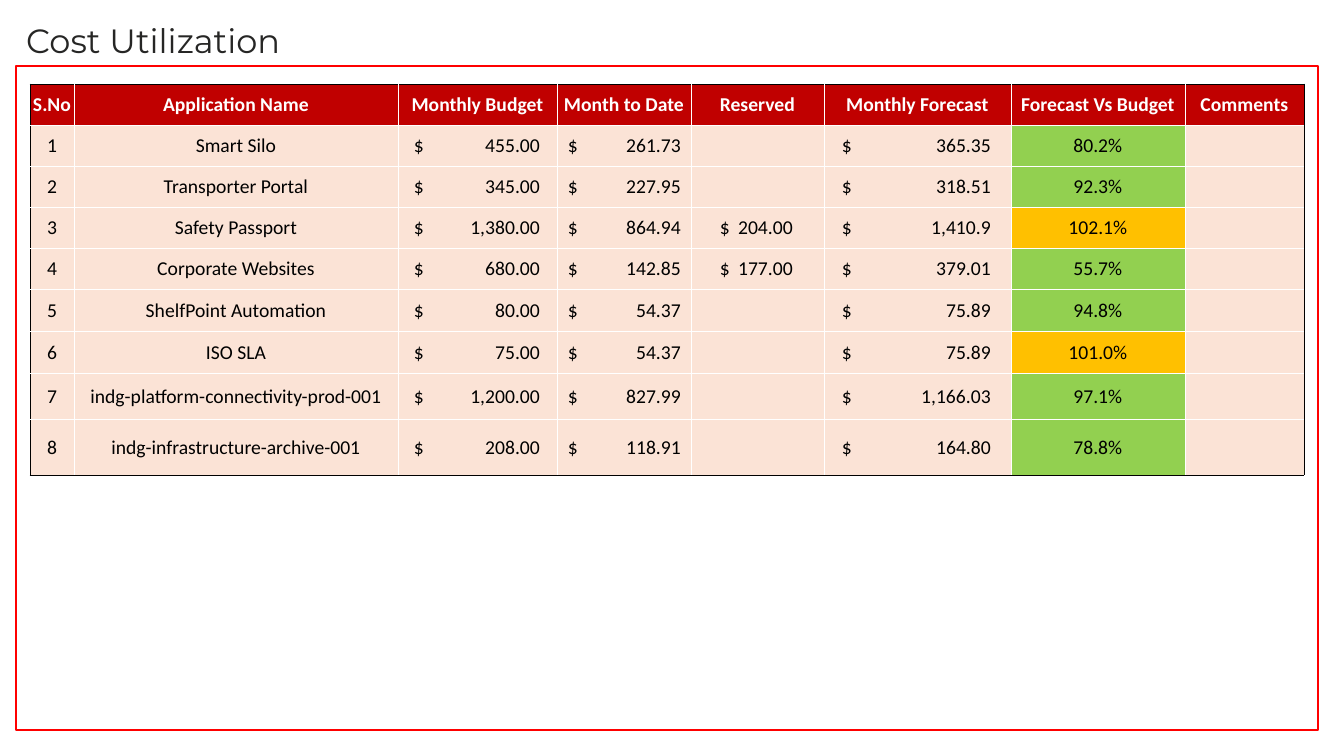
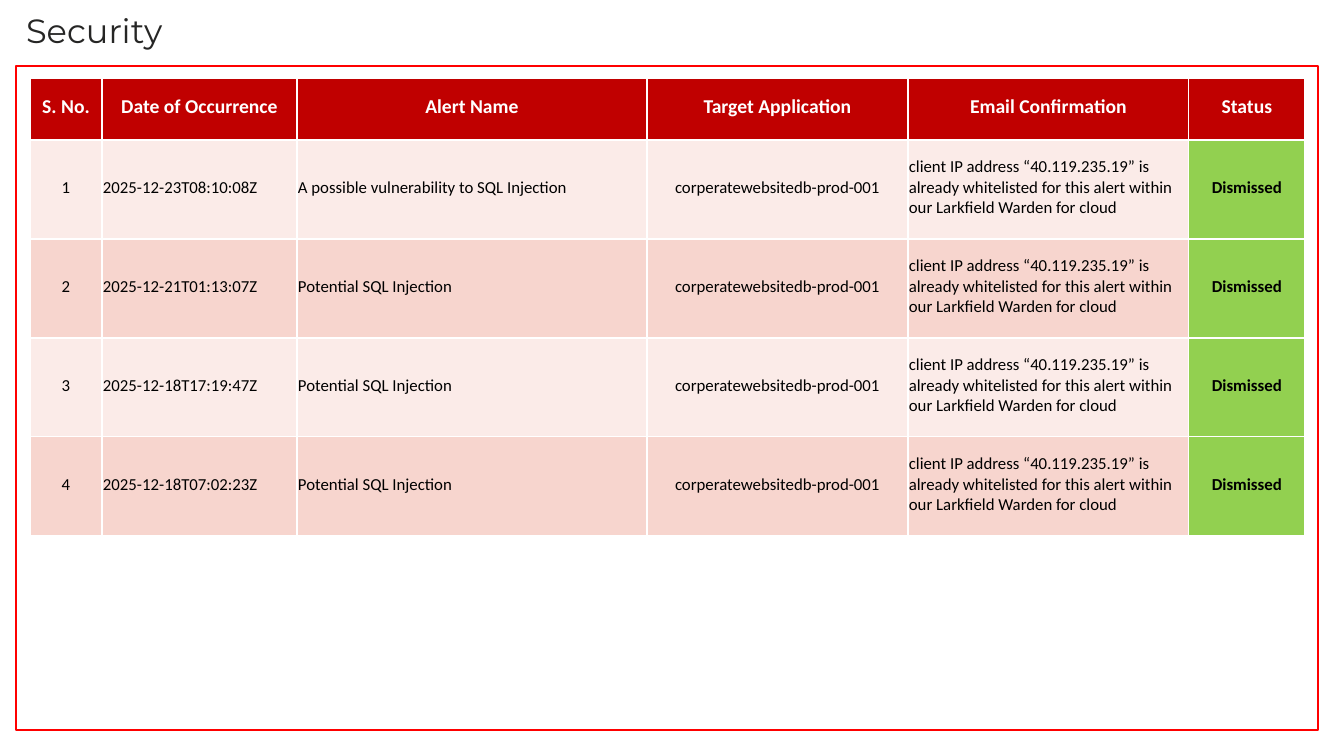
from pptx import Presentation as Deck
from pptx.dml.color import RGBColor as Rgb
from pptx.enum.shapes import MSO_SHAPE as Kind
from pptx.enum.text import MSO_ANCHOR as Anchor, MSO_AUTO_SIZE as Fit, PP_ALIGN as Align
from pptx.oxml import parse_xml
from pptx.oxml.ns import nsdecls
from pptx.util import Pt

SCALE = 914400 / 100.8
RED, GREEN, AMBER, WHITE, BLACK = "C00000", "92D050", "FFC000", "FFFFFF", "000000"


def px(n):
    return round(n * SCALE)


def hue(code):
    return Rgb.from_string(code)


costs = [
    ["Smart Silo", "455.00", "261.73", "", "365.35", "80.2%"],
    ["Transporter Portal", "345.00", "227.95", "", "318.51", "92.3%"],
    ["Safety Passport", "1,380.00", "864.94", "204.00", "1,410.9", "102.1%"],
    ["Corporate Websites", "680.00", "142.85", "177.00", "379.01", "55.7%"],
    ["ShelfPoint Automation", "80.00", "54.37", "", "75.89", "94.8%"],
    ["ISO SLA", "75.00", "54.37", "", "75.89", "101.0%"],
    ["indg-platform-connectivity-prod-001", "1,200.00", "827.99", "", "1,166.03", "97.1%"],
    ["indg-infrastructure-archive-001", "208.00", "118.91", "", "164.80", "78.8%"],
]
alerts = [
    ["2025-12-23T08:10:08Z", "A possible vulnerability to SQL Injection"],
    ["2025-12-21T01:13:07Z", "Potential SQL Injection"],
    ["2025-12-18T17:19:47Z", "Potential SQL Injection"],
    ["2025-12-18T07:02:23Z", "Potential SQL Injection"],
]
reply = ("client IP address “40.119.235.19” is already whitelisted for this alert "
         "within our Larkfield Warden for cloud")

pages = [
    {
        "title": "Cost Utilization", "top": 15, "place": (30, 84),
        "head": ["S.No", "Application Name", "Monthly Budget", "Month to Date", "Reserved",
                 "Monthly Forecast", "Forecast Vs Budget", "Comments"],
        "rows": [[str(i), *row, ""] for i, row in enumerate(costs, 1)],
        "wide": [44, 324, 159, 134, 133, 187, 174, 119],
        "high": [41] * 5 + [42, 42, 46, 56],
        "bands": ["FBE3D6"], "size": 14, "foot": 0, "line": 0.5, "edge": BLACK,
        "mark": 6, "bold": [], "left": [],
        "money": {2: (16, 126), 3: (11, 113), 4: (29, 73), 5: (18, 149)},
    },
    {
        "title": "Security", "top": 5, "place": (30, 78),
        "head": ["S. No.", "Date of Occurrence", "Alert Name", "Target Application",
                 "Email Confirmation", "Status"],
        "rows": [[str(i), *row, "corperatewebsitedb-prod-001", reply, "Dismissed"]
                 for i, row in enumerate(alerts, 1)],
        "wide": [72, 195, 350, 261, 281, 116],
        "high": [62] + [99] * 4,
        "bands": ["FBEBE8", "F7D5CE"], "size": 12, "foot": 5, "line": 1, "edge": WHITE,
        "mark": 5, "bold": [5], "left": [1, 2, 4], "money": {},
    },
]

deck = Deck()
deck.slide_width, deck.slide_height = px(1344), px(756)

for page in pages:
    slide = deck.slides.add_slide(deck.slide_layouts[5])

    title = slide.shapes.title
    title.left, title.top, title.width, title.height = map(px, (16, page["top"], 831, 50))
    title.text = page["title"]
    frame = title.text_frame
    look = {"word_wrap": True, "auto_size": Fit.NONE, "vertical_anchor": Anchor.MIDDLE}
    for name, value in look.items():
        setattr(frame, name, value)
    para = frame.paragraphs[0]
    para.alignment = Align.LEFT
    for name, value in {"name": "Montserrat", "size": Pt(24)}.items():
        setattr(para.font, name, value)
    para.font.color.rgb = hue("262625")

    box = slide.shapes.add_shape(Kind.RECTANGLE, *map(px, (16, 66, 1302, 664)))
    box.shadow.inherit = False
    box.fill.background()
    box.line.color.rgb = hue("FF0000")
    box.line.width = Pt(1.5)

    wide, high = page["wide"], page["high"]
    grid = [page["head"], *page["rows"]]
    size = sum(wide), sum(high)
    table = slide.shapes.add_table(len(high), len(wide), *map(px, page["place"] + size)).table
    table.horz_banding = False
    for col, n in zip(table.columns, wide):
        col.width = px(n)
    for row, n in zip(table.rows, high):
        row.height = px(n)

    for r, line in enumerate(grid):
        for c, text in enumerate(line):
            cell = table.cell(r, c)
            head = r == 0
            cash = page["money"].get(c) if text and not head else None
            look = {"margin_left": px(cash[0] if cash else 1), "margin_right": px(1),
                    "margin_top": px(1), "margin_bottom": px(page["foot"]),
                    "vertical_anchor": Anchor.MIDDLE}
            for name, value in look.items():
                setattr(cell, name, value)

            outer = {"L": c == 0, "R": c == len(wide) - 1, "T": head, "B": r == len(high) - 1}
            props = cell._tc.get_or_add_tcPr()
            for side, out in outer.items():
                tint = page["edge"] if out else WHITE
                props.append(parse_xml(
                    f'<a:ln{side} {nsdecls("a")} w="{Pt(page["line"])}"><a:solidFill>'
                    f'<a:srgbClr val="{tint}"/></a:solidFill></a:ln{side}>'))

            fill = RED if head else page["bands"][(r - 1) % len(page["bands"])]
            if c == page["mark"] and not head:
                over = text.endswith("%") and float(text[:-1]) > 100
                fill = AMBER if over else GREEN
            cell.fill.solid()
            cell.fill.fore_color.rgb = hue(fill)

            para = cell.text_frame.paragraphs[0]
            flush = cash or (c in page["left"] and not head)
            para.alignment = Align.LEFT if flush else Align.CENTER
            if cash:
                para._p.get_or_add_pPr().append(parse_xml(
                    f'<a:tabLst {nsdecls("a")}><a:tab pos="{px(cash[1])}" algn="r"/></a:tabLst>'))
                text = f"$\t{text}"
            if text:
                run = para.add_run()
                run.text = text
                look = {"name": "Calibri", "size": Pt(14 if head else page["size"]),
                        "bold": head or c in page["bold"]}
                for name, value in look.items():
                    setattr(run.font, name, value)
                run.font.color.rgb = hue(WHITE if head else BLACK)

deck.save("out.pptx")
